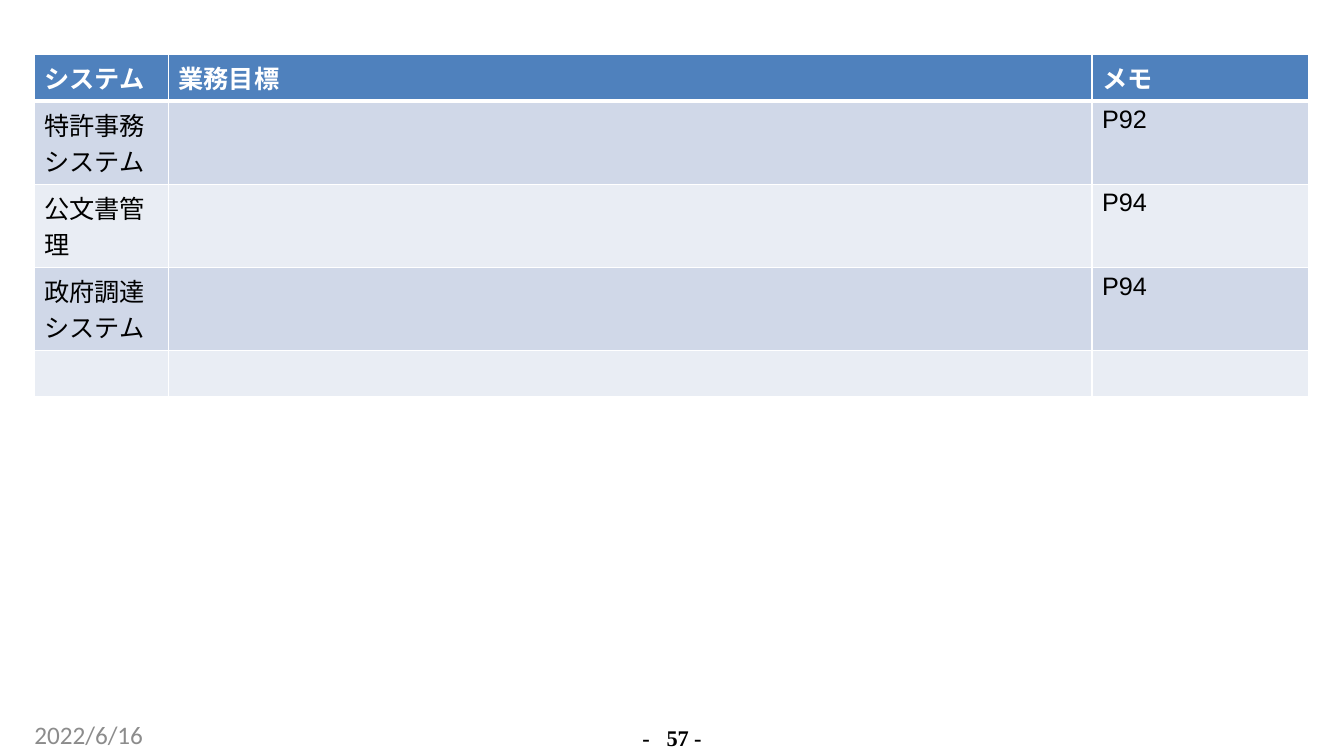
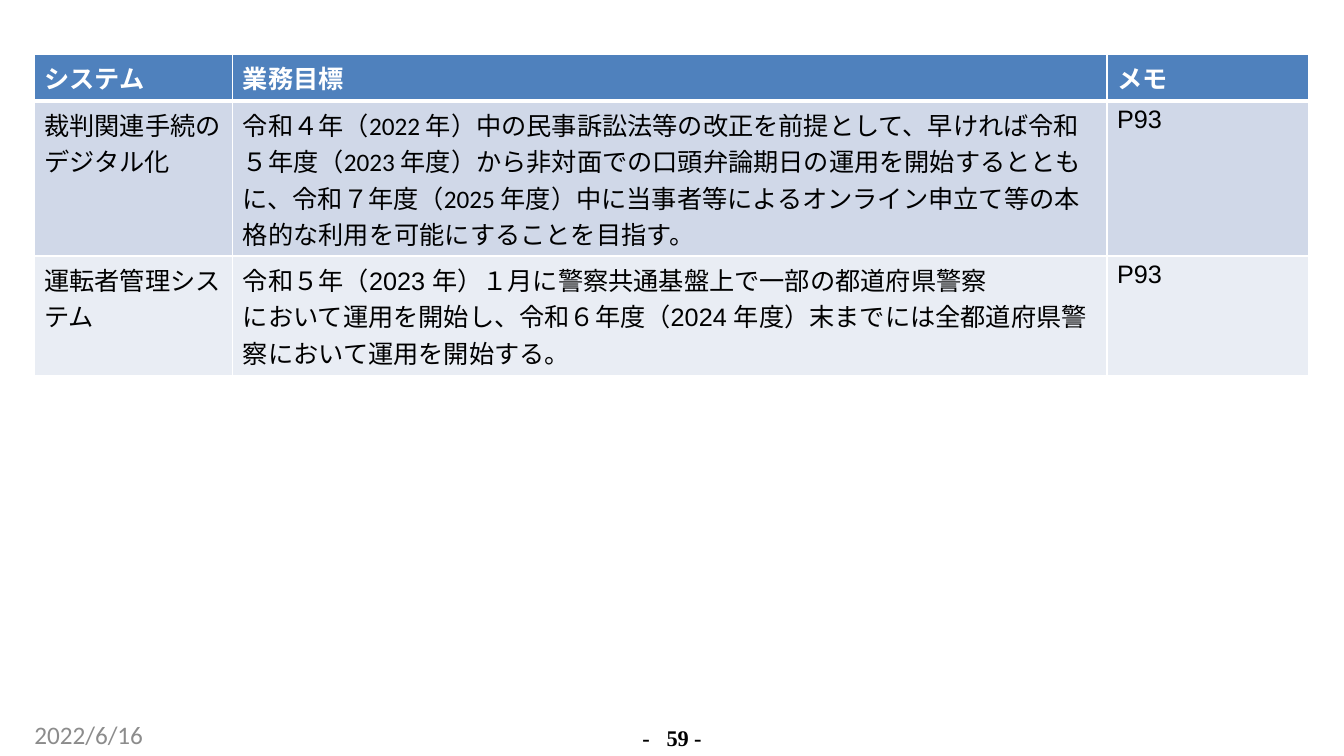
"""Build two slides of system targets, each with a table, a date and a page number."""
from pptx import Presentation
from pptx.dml.color import RGBColor
from pptx.enum import lang, text
from pptx.oxml import parse_xml
from pptx.oxml import ns
from pptx.util import Inches, Pt

WHITE = RGBColor(0xFF, 0xFF, 0xFF)
BLACK = RGBColor(0, 0, 0)
GREY = RGBColor(0x8C, 0x8C, 0x8C)
HEADER = RGBColor(0x4F, 0x81, 0xBD)
BANDS = (RGBColor(0xD0, 0xD8, 0xE8), RGBColor(0xE9, 0xED, 0xF4))

LATIN, EAST_ASIAN = "Arial", "Noto Sans CJK JP"
LEFT, TOP = 0.34, 0.54
HEADINGS = ("システム", "業務目標", "メモ")
DATE = "2022/6/16"

AGENCY_ROWS = [
    ("特許事務システム", "", "P92"),
    ("公文書管理", "", "P94"),
    ("政府調達システム", "", "P94"),
    ("", "", ""),
]
COURT_TARGET = (
    "令和４年（2022 年）中の民事訴訟法等の改正を前提として、早ければ令和５年度"
    "（2023 年度）から非対面での口頭弁論期日の運用を開始するとともに、令和７年度"
    "（2025 年度）中に当事者等によるオンライン申立て等の本格的な利用を可能にすることを目指す。"
)
DRIVER_TARGET = (
    "令和５年（2023 年）１月に警察共通基盤上で一部の都道府県警察\n"
    "において運用を開始し、令和６年度（2024 年度）末までには全都道府県"
    "警察において運用を開始する。"
)
JUSTICE_ROWS = [
    ("裁判関連手続のデジタル化", COURT_TARGET, "P93"),
    ("運転者管理システム", DRIVER_TARGET, "P93"),
]


def add_run(p, words, size, color, font=LATIN, bold=False):
    r = p.add_run()
    r.text = words
    r.font.size = Pt(size)
    r.font.name = font
    r.font.bold = bold
    r.font.color.rgb = color
    r.font.language_id = lang.MSO_LANGUAGE_ID.JAPANESE
    r.font._element.append(
        parse_xml(f'<a:ea {ns.nsdecls("a")} typeface="{EAST_ASIAN}"/>'))
    return r


def set_borders(cell, top, bottom):
    tc_pr = cell._tc.get_or_add_tcPr()
    for side, width in (("L", 1), ("R", 1), ("T", top), ("B", bottom)):
        tc_pr.append(parse_xml(
            f'<a:ln{side} {ns.nsdecls("a")} w="{Pt(width)}"><a:solidFill>'
            f'<a:srgbClr val="{WHITE}"/></a:solidFill></a:ln{side}>'))


def fill_cell(cell, words, row, font):
    set_borders(cell, 3 if row == 1 else 1, 3 if row == 0 else 1)
    cell.fill.solid()
    cell.fill.fore_color.rgb = BANDS[(row - 1) % 2] if row else HEADER
    tf = cell.text_frame
    for i, line in enumerate(words.split("\n")):
        p = tf.add_paragraph() if i else tf.paragraphs[0]
        if line:
            add_run(p, line, 18, BLACK if row else WHITE, font, bold=row == 0)
        else:
            p.font.size = Pt(18)


def add_target_table(s, rows, widths, heights, fonts):
    frame = s.shapes.add_table(
        len(rows) + 1, len(widths), Inches(LEFT), Inches(TOP),
        Inches(sum(widths)), Inches(sum(heights)))
    table = frame.table
    table.horz_banding = False
    for column, width in zip(table.columns, widths):
        column.width = Inches(width)
    for row, height in zip(table.rows, heights):
        row.height = Inches(height)
    for i, values in enumerate([HEADINGS, *rows]):
        for j, words in enumerate(values):
            fill_cell(table.cell(i, j), words, i, fonts.get((i, j), LATIN))


def add_text_box(s, left, top, width, height):
    tf = s.shapes.add_textbox(
        Inches(left), Inches(top), Inches(width), Inches(height)).text_frame
    tf.word_wrap = True
    tf.margin_left = tf.margin_right = tf.margin_top = tf.margin_bottom = 0
    return tf.paragraphs[0]


def add_footer(s, page):
    p = add_text_box(s, 6.23, 7.19, 0.86, 0.25)
    p.alignment = text.PP_ALIGN.CENTER
    p.line_spacing = Pt(18.4)
    p_pr = p._p.get_or_add_pPr()
    p_pr.set("marL", str(Inches(0.01)))
    p_pr.append(parse_xml(
        f'<a:tabLst {ns.nsdecls("a")}><a:tab pos="{Inches(0.24)}" algn="l"/></a:tabLst>'))
    r = add_run(p, f"-\t{page} -", 16, BLACK, "Times New Roman", bold=True)
    r.font._element.set("spc", "-10")

    p = add_text_box(s, LEFT, 7.14, 3.07, 0.3)
    add_run(p, DATE, 18, GREY, "Calibri")


def add_target_slide(prs, page, rows, widths, heights, fonts):
    s = prs.slides.add_slide(prs.slide_layouts[6])
    add_target_table(s, rows, widths, heights, fonts)
    add_footer(s, page)


def main():
    prs = Presentation()
    prs.slide_width, prs.slide_height = Inches(13.33), Inches(7.5)
    add_target_slide(prs, 57, AGENCY_ROWS, (1.33, 9.16, 2.15),
                     (0.46, 0.82, 0.82, 0.82, 0.46), {})
    add_target_slide(prs, 59, JUSTICE_ROWS, (1.97, 8.67, 2),
                     (0.46, 1.54, 1.19), {(1, 1): "Calibri"})
    prs.save("out.pptx")


if __name__ == "__main__":
    main()
